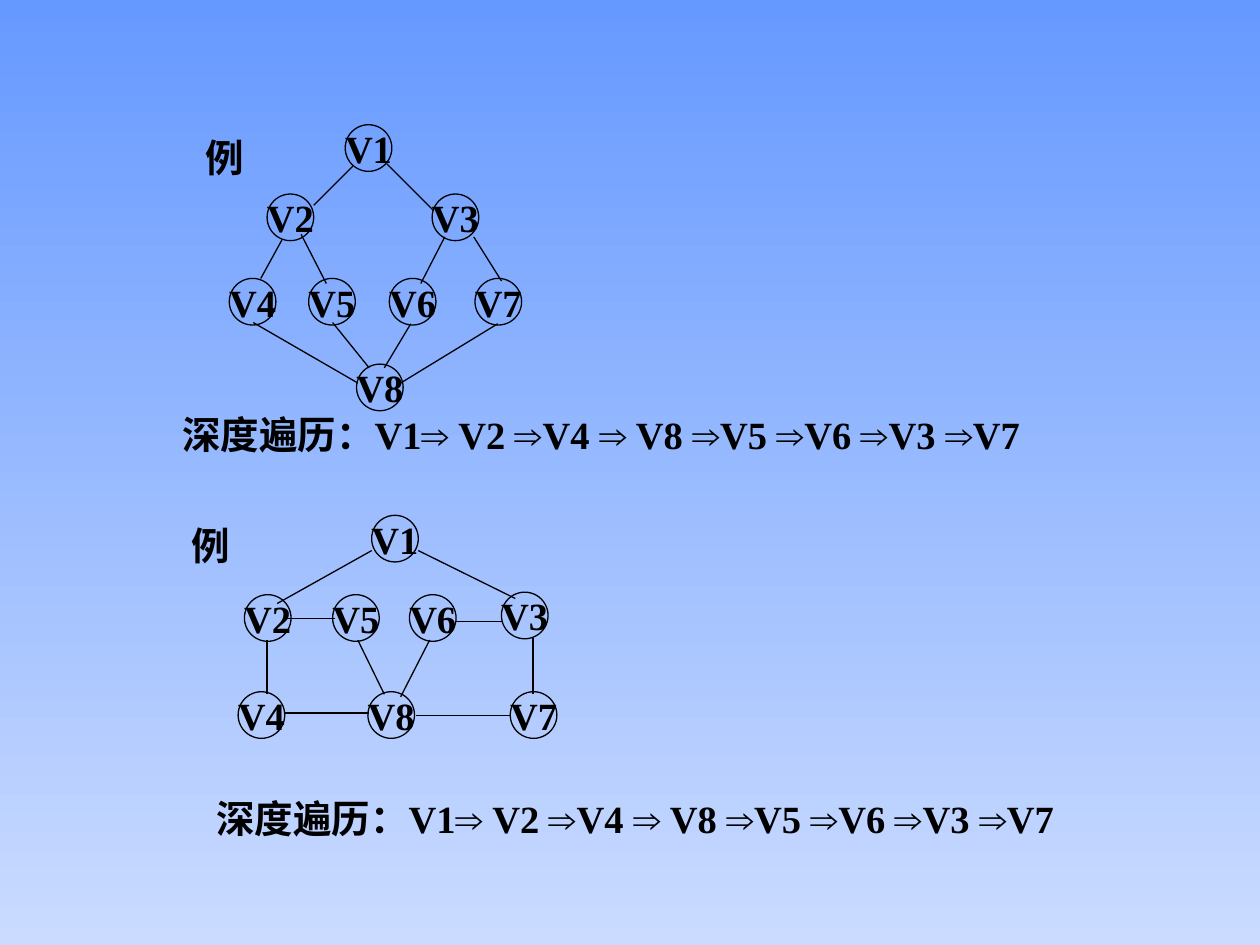
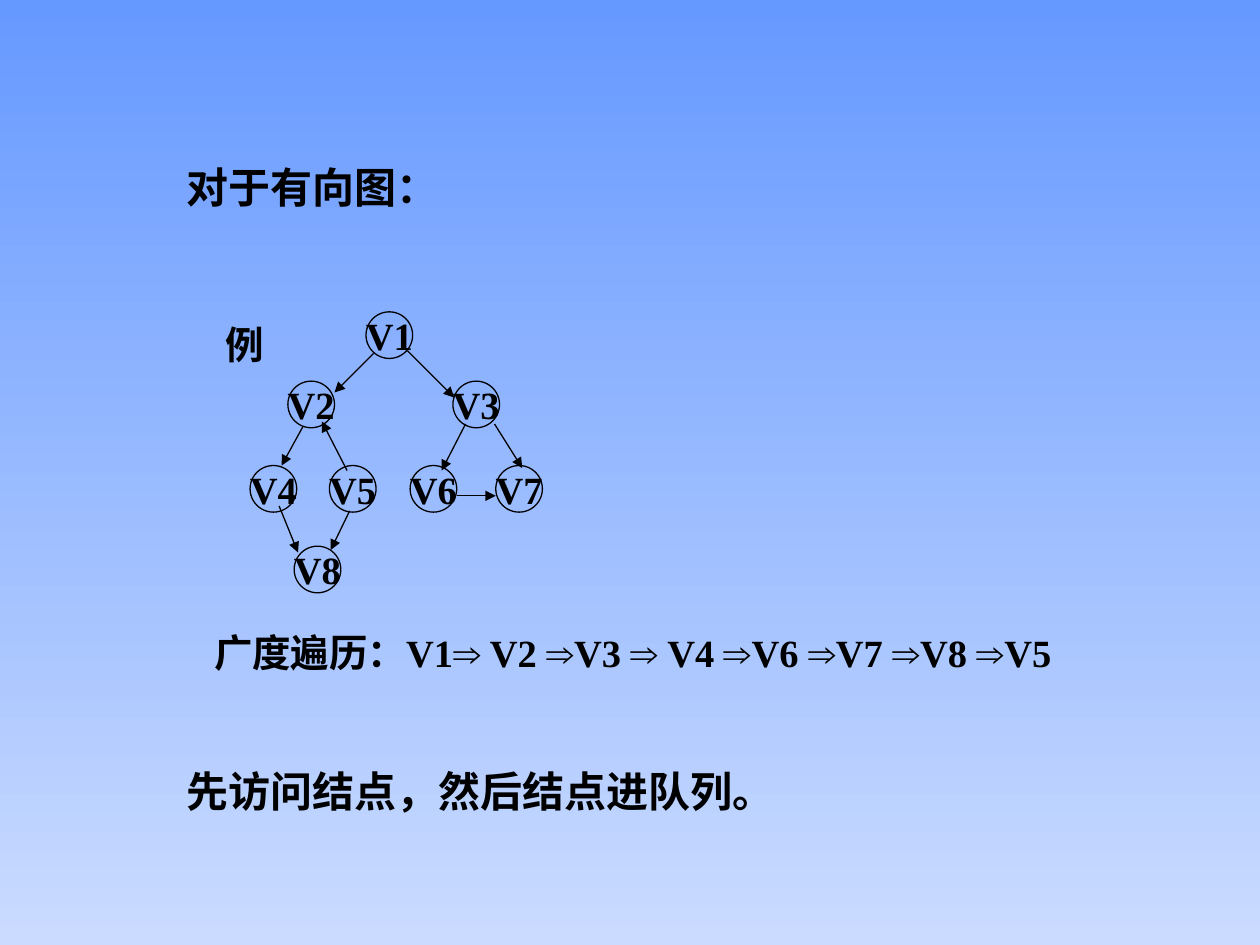
from dataclasses import dataclass

from lxml import etree
from pptx import Presentation
from pptx.dml.color import RGBColor
from pptx.enum.shapes import MSO_CONNECTOR, MSO_SHAPE
from pptx.enum.text import MSO_ANCHOR, MSO_AUTO_SIZE, PP_ALIGN
from pptx.oxml.ns import qn
from pptx.util import Inches, Pt

STRAIGHT, OVAL = MSO_CONNECTOR.STRAIGHT, MSO_SHAPE.OVAL
MIDDLE, TOP = MSO_ANCHOR.MIDDLE, MSO_ANCHOR.TOP
CENTER, LEFT = PP_ALIGN.CENTER, PP_ALIGN.LEFT
FIT_SHAPE = MSO_AUTO_SIZE.SHAPE_TO_FIT_TEXT

COLORS = {"ink": "000000", "sky_top": "6699FF", "sky_bottom": "CADBFF"}
TEXT_FONT, ARROW_FONT = "Times New Roman", "Arial"
BODY_SIZE, NOTE_SIZE = 22, 24
ARROW = "⇒"

# The slide is a grid of 100 columns by 75 rows
WIDTH, HEIGHT = Inches(10), Inches(7.5)
COLUMNS, ROWS = 100, 75
NODE_SIZE = 3.7

Point = tuple[float, float]


@dataclass(frozen=True)
class Edge:
    start: Point
    end: Point
    directed: bool = False

    def arrow(self) -> "Edge":
        return Edge(self.start, self.end, True)

    def back_arrow(self) -> "Edge":
        return Edge(self.end, self.start, True)


@dataclass(frozen=True)
class Graph:
    origin: Point
    label: Point
    nodes: dict[str, Point]
    edges: list[Edge]


@dataclass(frozen=True)
class TextBox:
    text: str
    at: Point
    size: Point
    font_size: int = BODY_SIZE
    align: PP_ALIGN = LEFT
    anchor: MSO_ANCHOR = TOP
    wrap: bool = False


def route(text: str, at: Point) -> TextBox:
    return TextBox(text, at, (70.9, 4.7))


def note(text: str, row: float) -> TextBox:
    return TextBox(text, (13.8, row), (60.6, 5), NOTE_SIZE, wrap=True)


# Node and edge positions are measured from each graph's origin
TREE_NODES = {
    "V1": (9.2, 0), "V2": (3, 5.5), "V3": (16.1, 5.5),
    "V4": (0, 12.2), "V5": (6.3, 12.2), "V6": (12.7, 12.2), "V7": (19.5, 12.2),
}
TREE_EDGES = {
    "V1-V2": Edge((9.8, 3.3), (6.7, 6.4)),
    "V1-V3": Edge((12.5, 3.1), (16.2, 6.8)),
    "V2-V4": Edge((4.2, 9.1), (2.5, 12.2)),
    "V2-V5": Edge((5.7, 8.7), (7.7, 12.6)),
    "V3-V6": Edge((17.1, 8.9), (15.2, 12.6)),
    "V3-V7": Edge((19.4, 8.9), (21.6, 12.4)),
}
TREE_LABEL = (-2.9, 0.2)

UNDIRECTED_TREE = Graph(
    (18.2, 9.9), TREE_LABEL, TREE_NODES | {"V8": (10.1, 19)},
    [*TREE_EDGES.values(),
     Edge((8.2, 15.7), (11.1, 19.3)),
     Edge((14.4, 15.8), (12.3, 19.3)),
     Edge((1.9, 15.7), (10.2, 20.5)),
     Edge((21.3, 15.8), (13.6, 20.5))],
)
RING = Graph(
    (18.9, 40.9), (-4.7, 0),
    {"V1": (10.6, 0), "V2": (0.5, 6.3), "V5": (7.5, 6.3), "V6": (13.6, 6.3),
     "V3": (20.9, 6.1), "V4": (0, 14), "V8": (10.3, 14), "V7": (21.6, 14)},
    [Edge((10.6, 2.8), (3.1, 7)),
     Edge((14.3, 2.8), (22, 6.6)),
     Edge((3.9, 8.2), (7.7, 8.2)),
     Edge((17.2, 8.4), (21, 8.4)),
     Edge((2.3, 9.9), (2.3, 14.2)),
     Edge((3.7, 15.7), (10.4, 15.7)),
     Edge((14.1, 15.9), (21.6, 15.9)),
     Edge((23.4, 9.7), (23.4, 14.2)),
     Edge((9.5, 9.9), (11.6, 14.2)),
     Edge((15.2, 9.9), (12.9, 14.4))],
)
DIRECTED_TREE = Graph(
    (19.85, 24.75), TREE_LABEL, TREE_NODES | {"V8": (3.5, 18.6)},
    [*(edge.back_arrow() if name == "V2-V5" else edge.arrow()
       for name, edge in TREE_EDGES.items()),
     Edge((2.3, 15.4), (3.8, 19.1), True),
     Edge((7.9, 15.8), (6.4, 18.9), True),
     Edge((16.4, 14.6), (19.5, 14.6), True)],
)

DEPTH_ROUTE = "深度遍历：V1⇒ V2 ⇒V4 ⇒ V8 ⇒V5 ⇒V6 ⇒V3 ⇒V7"
BREADTH_ROUTE = "广度遍历：V1⇒ V2 ⇒V3 ⇒ V4 ⇒V6 ⇒V7 ⇒V8 ⇒V5"

SLIDES = [
    ([UNDIRECTED_TREE, RING],
     [route(DEPTH_ROUTE, (13.5, 32.1)), route(DEPTH_ROUTE, (16.2, 62.6))]),
    ([DIRECTED_TREE],
     [route(BREADTH_ROUTE, (16, 49.4)), note("对于有向图：", 12.3),
      note("先访问结点，然后结点进队列。", 60.3)]),
]


def color(name: str) -> RGBColor:
    return RGBColor.from_string(COLORS[name])


def place(point: Point) -> tuple[int, int]:
    return round(WIDTH * point[0] / COLUMNS), round(HEIGHT * point[1] / ROWS)


def shift(origin: Point, offset: Point) -> Point:
    return origin[0] + offset[0], origin[1] + offset[1]


def style_line(line) -> None:
    line.color.rgb = color("ink")
    line.width = Pt(0.75)


def write(frame, text: str, size: int, align: PP_ALIGN, anchor: MSO_ANCHOR, wrap: bool) -> None:
    frame.word_wrap = wrap
    frame.vertical_anchor = anchor
    para = frame.paragraphs[0]
    para.alignment = align
    para.font.size = Pt(size)
    para.font.bold = True
    para.font.color.rgb = color("ink")
    para.font.name = TEXT_FONT
    for index, part in enumerate(text.split(ARROW)):
        if index:
            arrow = para.add_run()
            arrow.text = ARROW
            arrow.font.name = ARROW_FONT
        span = para.add_run()
        span.text = part


def draw_text(page, item: TextBox) -> None:
    box = page.shapes.add_textbox(*place(item.at), *place(item.size))
    write(box.text_frame, item.text, item.font_size, item.align, item.anchor, item.wrap)
    box.text_frame.auto_size = FIT_SHAPE


def draw_node(page, name: str, at: Point) -> None:
    node = page.shapes.add_shape(OVAL, *place(at), *place((NODE_SIZE, NODE_SIZE)))
    node.shadow.inherit = False
    node.fill.background()
    style_line(node.line)
    write(node.text_frame, name, BODY_SIZE, CENTER, MIDDLE, False)


def draw_edge(page, origin: Point, edge: Edge) -> None:
    start, end = shift(origin, edge.start), shift(origin, edge.end)
    link = page.shapes.add_connector(STRAIGHT, *place(start), *place(end))
    style_line(link.line)
    properties = link._element.spPr
    if edge.directed:
        etree.SubElement(properties.find(qn("a:ln")), qn("a:tailEnd"), type="triangle")
    etree.SubElement(properties, qn("a:effectLst"))


def draw_graph(page, graph: Graph) -> None:
    for name, offset in graph.nodes.items():
        draw_node(page, name, shift(graph.origin, offset))
    for edge in graph.edges:
        draw_edge(page, graph.origin, edge)
    label_at = shift(graph.origin, graph.label)
    draw_text(page, TextBox("例", label_at, (5, 4.7), align=CENTER, anchor=MIDDLE))


def paint_background(master) -> None:
    fill = master.background.fill
    fill.gradient()
    fill.gradient_angle = 270
    for stop, name, position in zip(fill.gradient_stops, ("sky_top", "sky_bottom"), (0, 1)):
        stop.color.rgb = color(name)
        stop.position = position


def main() -> None:
    deck = Presentation()
    deck.slide_width, deck.slide_height = WIDTH, HEIGHT
    paint_background(deck.slide_master)
    for graphs, texts in SLIDES:
        page = deck.slides.add_slide(deck.slide_layouts[6])
        for graph in graphs:
            draw_graph(page, graph)
        for item in texts:
            draw_text(page, item)
    deck.save("out.pptx")


if __name__ == "__main__":
    main()
